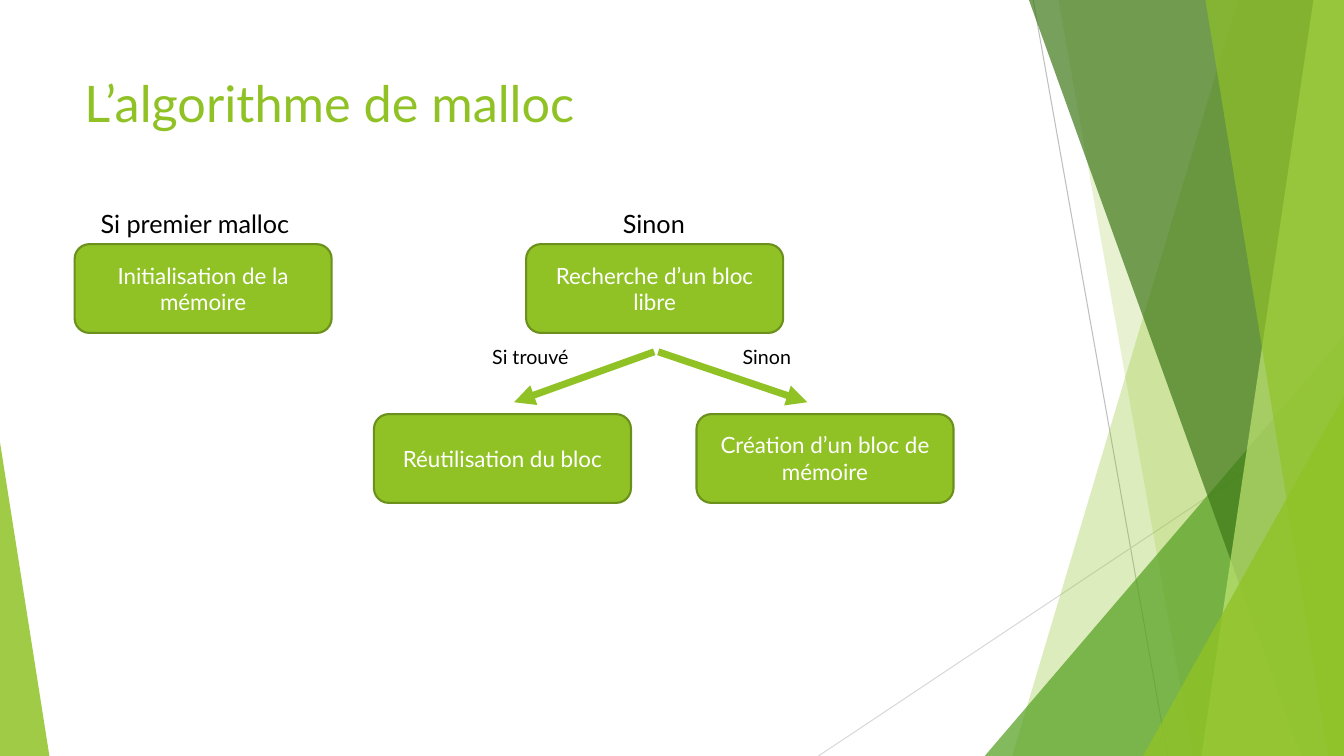
from pptx import Presentation
from pptx.dml.color import RGBColor
from pptx.enum.shapes import MSO_CONNECTOR as CONN, MSO_SHAPE as SHAPE
from pptx.enum.text import MSO_ANCHOR as ANCHOR, PP_ALIGN as ALIGN
from pptx.oxml.xmlchemy import OxmlElement
from pptx.util import Pt

WIDTH, HEIGHT = 960, 540
GREEN, DARK_GREEN = "90C226", "6B901C"


def rgb(value):
    """Turn a hex string into a colour."""
    return RGBColor.from_string(value)


class Deck:
    """Hold the style and the slide being drawn."""

    font = "Lato"
    box_size = (183.6, 63.4)

    def __init__(self, s):
        """Keep the current slide."""
        self.s = s

    def set_text(self, sp, text, size, color, align=ALIGN.LEFT, anchor=ANCHOR.TOP):
        """Put one styled paragraph in a shape."""
        tf = sp.text_frame
        tf.word_wrap = True
        tf.vertical_anchor = anchor
        p = tf.paragraphs[0]
        p.text, p.alignment = text, align
        p.font.name, p.font.size = self.font, Pt(size)
        p.font.color.rgb = rgb(color)

    def label(self, text, x, y, w, h, size, color="000000"):
        """Add plain text."""
        sp = self.s.shapes.add_textbox(Pt(x), Pt(y), Pt(w), Pt(h))
        self.set_text(sp, text, size, color)

    def box(self, text, x, y):
        """Add a rounded step box."""
        w, h = self.box_size
        sp = self.s.shapes.add_shape(SHAPE.ROUNDED_RECTANGLE, Pt(x), Pt(y), Pt(w), Pt(h))
        sp.shadow.inherit = False
        sp.fill.solid()
        sp.fill.fore_color.rgb = rgb(GREEN)
        sp.line.color.rgb = rgb(DARK_GREEN)
        sp.line.width = Pt(1.5)
        self.set_text(sp, text, 16, "FFFFFF", ALIGN.CENTER, ANCHOR.MIDDLE)

    def line(self, x1, y1, x2, y2, color, width, arrow=False):
        """Add a straight line, with an arrowhead at its end if asked."""
        c = self.s.shapes.add_connector(CONN.STRAIGHT, Pt(x1), Pt(y1), Pt(x2), Pt(y2))
        c.line.color.rgb = rgb(color)
        c.line.width = Pt(width)
        spPr = c._element.spPr
        if arrow:
            head = OxmlElement("a:tailEnd")
            head.set("type", "triangle")
            spPr.find("{*}ln").append(head)
        spPr.append(OxmlElement("a:effectLst"))

    def glass(self, sp, color, opacity):
        """Give a shape a see-through fill and no outline."""
        sp.shadow.inherit = False
        sp.line.fill.background()
        sp.fill.solid()
        sp.fill.fore_color.rgb = rgb(color)
        alpha = OxmlElement("a:alpha")
        alpha.set("val", str(opacity * 1000))
        sp._element.spPr.find(".//{*}srgbClr").append(alpha)

    def band(self, top, bottom, color, opacity):
        """Fill from a slanted edge to the right side of the slide."""
        fb = self.s.shapes.build_freeform(Pt(top), 0)
        corners = [(WIDTH, 0), (WIDTH, HEIGHT), (bottom, HEIGHT)]
        fb.add_line_segments([(Pt(x), Pt(y)) for x, y in corners], close=True)
        self.glass(fb.convert_to_shape(), color, opacity)

    def corner(self, x, y, w, apex, color, opacity):
        """Add a triangle that stands on the bottom edge."""
        sp = self.s.shapes.add_shape(SHAPE.ISOSCELES_TRIANGLE, Pt(x), Pt(y), Pt(w), Pt(HEIGHT - y))
        sp.adjustments[0] = apex
        self.glass(sp, color, opacity)


prs = Presentation()
prs.slide_width, prs.slide_height = Pt(WIDTH), Pt(HEIGHT)
deck = Deck(prs.slides.add_slide(prs.slide_layouts[6]))

# Background decoration
deck.line(738, 0, 834, HEIGHT, "BFBFBF", 0.75)
deck.line(WIDTH, 290, 584.6, HEIGHT, "D9D9D9", 0.75)
deck.band(884.2, 723, GREEN, 30)
deck.band(756, 852, GREEN, 20)
deck.corner(703.4, 240, 256.6, 1, "54A021", 72)
deck.band(735, 929.5, "3F7819", 70)
deck.band(938.2, 858.2, "C0E474", 70)
deck.band(861, 949, GREEN, 65)
deck.corner(816.5, 283, 143.5, 1, GREEN, 80)
deck.corner(0, 316, 35.3, 0, GREEN, 85)

deck.label("L’algorithme de malloc", 53.3, 48.2, 676.8, 103.7, 36, GREEN)

# Steps
for text, x, y in [
    ("Initialisation de la mémoire", 53.3, 174.4),
    ("Recherche d’un bloc libre", 375.8, 174.4),
    ("Réutilisation du bloc", 267.1, 295.8),
    ("Création d’un bloc de mémoire", 497.5, 295.8),
]:
    deck.box(text, x, y)

# Branches
for start, end in [(470.2, 576.7), (467.3, 367.2)]:
    deck.line(start, 251.3, end, 287.3, GREEN, 5, arrow=True)

# Conditions
for text, x, y, w, h, size in [
    ("Si premier malloc", 64.8, 145.4, 160.6, 29, 18),
    ("Sinon", 437.8, 145.4, 60, 29, 18),
    ("Si trouvé", 344.5, 242.6, 72.7, 24.5, 14),
    ("Sinon", 523.4, 242.6, 72.7, 24.5, 14),
]:
    deck.label(text, x, y, w, h, size)

prs.save("out.pptx")
